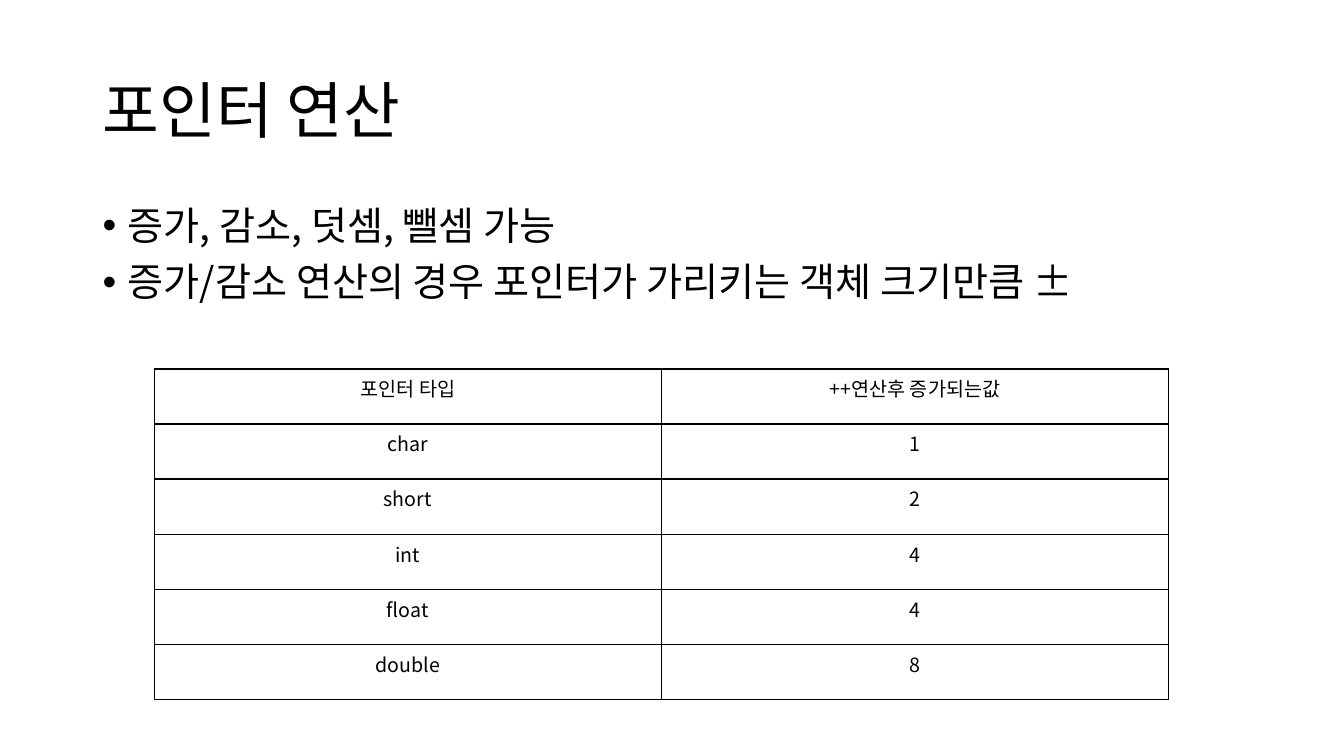
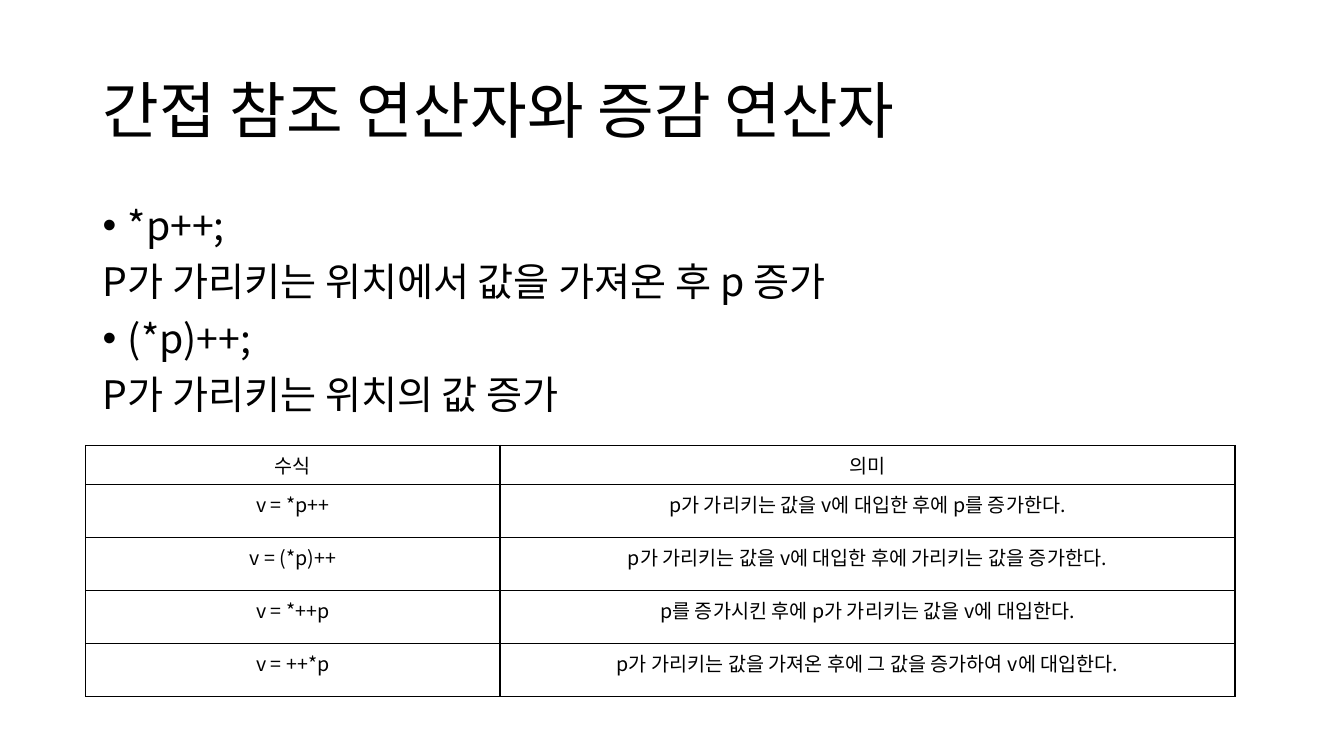
from lxml.etree import SubElement
from pptx import Presentation
from pptx.dml.color import RGBColor
from pptx.enum.text import MSO_ANCHOR as Anchor, PP_ALIGN as Align
from pptx.oxml import parse_xml
from pptx.oxml.ns import nsdecls, qn
from pptx.util import Inches, Pt

COLORS = {"text": "000000", "border": "000000", "background": "FFFFFF"}
FONT = "Noto Sans CJK KR"
SIZES = {"title": Pt(44), "body": Pt(28), "table": Pt(14)}
TITLE_FORMAT = {"line_spacing": 0.9}
BODY_FORMAT = {"line_spacing": 0.9, "space_before": Pt(10)}
CELL_FORMAT = {"alignment": Align.CENTER}
BORDER_WIDTH = Pt(0.96)
BULLET_INDENT = Inches(0.25)


def set_attributes(target, values):
    """Set each named value on the target."""
    for name, value in values.items():
        setattr(target, name, value)


class Deck:
    """Holds the shared style, the presentation and the current slide."""

    def __init__(self):
        """Start an empty widescreen presentation."""
        self.presentation = Presentation()
        self.presentation.slide_width = Inches(13.33)
        self.presentation.slide_height = Inches(7.5)
        self.slide = None

    def add_slide(self, title):
        """Add a blank slide with its title."""
        layout = self.presentation.slide_layouts[6]
        self.slide = self.presentation.slides.add_slide(layout)
        fill = self.slide.background.fill
        fill.solid()
        fill.fore_color.rgb = RGBColor.from_string(COLORS["background"])
        frame = self.add_frame(0.4, 1.45, Anchor.MIDDLE)
        self.add_text(frame.paragraphs[0], title, "title", TITLE_FORMAT)

    def add_frame(self, top, height, anchor):
        """Add a wrapping text box in the common column."""
        box = self.slide.shapes.add_textbox(
            Inches(0.92), Inches(top), Inches(11.5), Inches(height))
        frame = box.text_frame
        set_attributes(frame, {"word_wrap": True, "vertical_anchor": anchor})
        return frame

    def add_text(self, paragraph, text, role, values):
        """Add one formatted run to a paragraph."""
        set_attributes(paragraph, values)
        run = paragraph.add_run()
        run.text = text
        set_attributes(run.font, {"name": FONT, "size": SIZES[role], "bold": False})
        run.font.color.rgb = RGBColor.from_string(COLORS["text"])
        east_asian = SubElement(run._r.get_or_add_rPr(), qn("a:ea"))
        east_asian.set("typeface", FONT)

    def add_body(self, lines):
        """Add the body from (text, bulleted) pairs."""
        frame = self.add_frame(2, 4.76, Anchor.TOP)
        for index, (text, bulleted) in enumerate(lines):
            paragraph = frame.add_paragraph() if index else frame.paragraphs[0]
            self.add_text(paragraph, text, "body", BODY_FORMAT)
            if bulleted:
                self.add_bullet(paragraph)

    def add_bullet(self, paragraph):
        """Give a paragraph a hanging round bullet."""
        properties = paragraph._p.get_or_add_pPr()
        properties.set("marL", str(BULLET_INDENT))
        properties.set("indent", str(-BULLET_INDENT))
        color = SubElement(properties, qn("a:buClr"))
        SubElement(color, qn("a:srgbClr")).set("val", COLORS["text"])
        SubElement(properties, qn("a:buFont")).set("typeface", "Arial")
        SubElement(properties, qn("a:buChar")).set("char", "•")

    def add_table(self, left, top, widths, heights, rows):
        """Add a plain ruled table with centred text."""
        frame = self.slide.shapes.add_table(
            len(rows), len(widths), Inches(left), Inches(top),
            Inches(sum(widths)), Inches(sum(heights)))
        table = frame.table
        set_attributes(table, {"first_row": False, "horz_banding": False})
        for column, width in zip(table.columns, widths):
            column.width = Inches(width)
        for row, height, texts in zip(table.rows, heights, rows):
            row.height = Inches(height)
            for cell, text in zip(row.cells, texts):
                cell.fill.background()
                self.add_borders(cell)
                self.add_text(cell.text_frame.paragraphs[0], text, "table", CELL_FORMAT)

    def add_borders(self, cell):
        """Rule all four sides of a cell."""
        properties = cell._tc.get_or_add_tcPr()
        for index, side in enumerate(("lnL", "lnR", "lnT", "lnB")):
            properties.insert(index, parse_xml(
                f'<a:{side} {nsdecls("a")} w="{BORDER_WIDTH}"><a:solidFill>'
                f'<a:srgbClr val="{COLORS["border"]}"/></a:solidFill></a:{side}>'))


deck = Deck()

deck.add_slide("포인터 연산")
deck.add_body([
    ("증가, 감소, 덧셈, 뺄셈 가능", True),
    ("증가/감소 연산의 경우 포인터가 가리키는 객체 크기만큼 ±", True),
])
type_rows = [
    ("포인터 타입", "++연산후\u00a0증가되는값"),
    ("char", "1"),
    ("short", "2"),
    ("int", "4"),
    ("float", "4"),
    ("double", "8"),
]
deck.add_table(1.53, 3.66, [5.03, 5.03], [3.28 / 6] * 6, type_rows)

deck.add_slide("간접 참조 연산자와 증감 연산자")
deck.add_body([
    ("*p++;", True),
    ("P가 가리키는 위치에서 값을 가져온 후 p 증가", False),
    ("(*p)++;", True),
    ("P가 가리키는 위치의 값 증가", False),
])
expression_rows = [
    ("수식", "의미"),
    ("v = *p++", "p가 가리키는 값을\u00a0v에 대입한 후에\u00a0p를 증가한다."),
    ("v = (*p)++", "p가 가리키는 값을\u00a0v에 대입한 후에 가리키는 값을 증가한다."),
    ("v = *++p", "p를\u00a0증가시킨 후에\u00a0p가 가리키는 값을\u00a0v에 대입한다."),
    ("v = ++*p", "p가 가리키는 값을 가져온 후에 그 값을 증가하여\u00a0v에 대입한다."),
]
deck.add_table(0.85, 4.42, [4.11, 7.29], [0.39] + [2.1 / 4] * 4, expression_rows)

deck.presentation.save("out.pptx")
